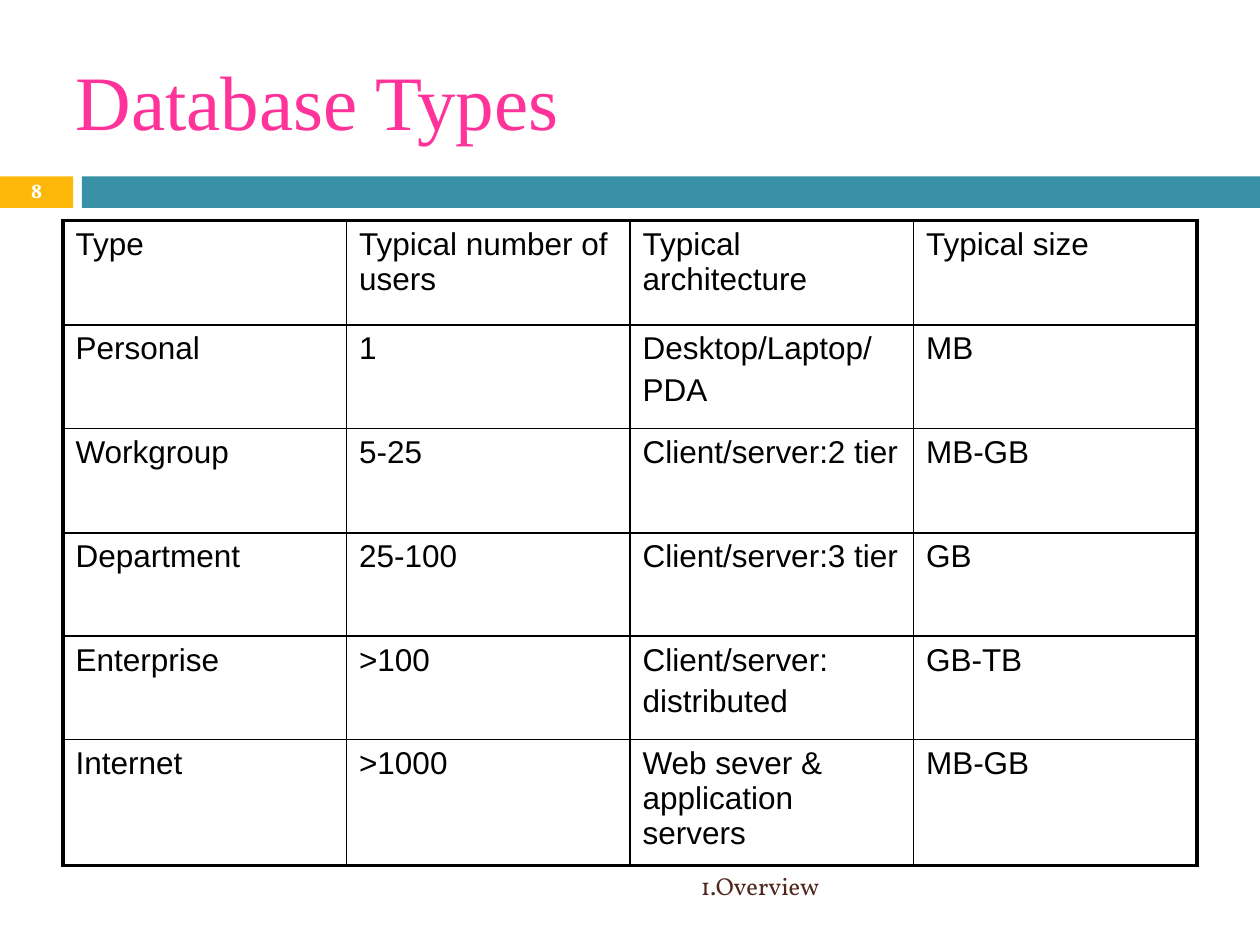
from lxml import etree
from pptx import Presentation
from pptx.dml.color import RGBColor
from pptx.enum.shapes import MSO_SHAPE
from pptx.enum.text import MSO_ANCHOR, PP_ALIGN
from pptx.oxml.ns import qn
from pptx.util import Inches, Pt

RECT = MSO_SHAPE.RECTANGLE
MIDDLE = MSO_ANCHOR.MIDDLE
LEFT, CENTER, RIGHT = PP_ALIGN.LEFT, PP_ALIGN.CENTER, PP_ALIGN.RIGHT

COLORS = {"pink": "FF3399", "gold": "FEB80A", "teal": "3891A7",
          "brown": "4F271C", "white": "FFFFFF", "black": "000000"}

TITLE = "Database Types"
FOOTER = "1.Overview"
NUMBER = "8"
ROWS = [
    ("Type", "Typical number of users", "Typical architecture", "Typical size"),
    ("Personal", "1", "Desktop/Laptop/\nPDA", "MB"),
    ("Workgroup", "5-25", "Client/server:2 tier", "MB-GB"),
    ("Department", "25-100", "Client/server:3 tier", "GB"),
    ("Enterprise", ">100", "Client/server:\ndistributed", "GB-TB"),
    ("Internet", ">1000", "Web sever & application servers", "MB-GB"),
]
BANDS = [("gold", 0, 0.58), ("teal", 0.65, 9.35)]
COL_W = 2.25
HEIGHTS = [0.83, 0.82, 0.83, 0.82, 0.82, 1]
THIN, THICK = 1, 2.25


def rgb(name):
    return RGBColor.from_string(COLORS[name])


def style(para, font, size, color, align=LEFT, bold=False):
    para.alignment = align
    for run in para.runs:
        run.font.name = font
        run.font.size = Pt(size)
        run.font.bold = bold
        run.font.color.rgb = rgb(color)


def add_label(slide, text, box, size, color, align, bold=False):
    frame = slide.shapes.add_textbox(*map(Inches, box)).text_frame
    frame.word_wrap = True
    frame.vertical_anchor = MIDDLE
    frame.text = text
    para = frame.paragraphs[0]
    style(para, "Vollkorn", size, color, align, bold)
    return para


def add_border(cell, side, width):
    """Draw one side (L, R, T or B) of a cell, width in points."""
    props = cell._tc.get_or_add_tcPr()
    line = etree.SubElement(props, qn(f"a:ln{side}"), w=str(Pt(width)))
    fill = etree.SubElement(line, qn("a:solidFill"))
    etree.SubElement(fill, qn("a:srgbClr"), val=COLORS["black"])


def add_grid(slide):
    count = len(ROWS[0])
    frame = slide.shapes.add_table(
        len(ROWS), count, Inches(0.5), Inches(1.75),
        Inches(COL_W * count), Inches(sum(HEIGHTS)))
    table = frame.table
    table.first_row = table.horz_banding = False
    for col in table.columns:
        col.width = Inches(COL_W)
    for i, (row, height) in enumerate(zip(ROWS, HEIGHTS)):
        table.rows[i].height = Inches(height)
        for j, text in enumerate(row):
            cell = table.cell(i, j)
            cell.text = text
            for k, para in enumerate(cell.text_frame.paragraphs):
                style(para, "Arial", 18, "black")
                if k:
                    para.space_before = Pt(3.6)
            outer = {"L": j == 0, "R": j == count - 1,
                     "T": i == 0, "B": i == len(ROWS) - 1}
            for side, edge in outer.items():
                add_border(cell, side, THICK if edge else THIN)
            cell.fill.background()


def main():
    deck = Presentation()
    deck.slide_width, deck.slide_height = Inches(10), Inches(7.5)
    slide = deck.slides.add_slide(deck.slide_layouts[5])

    for color, left, width in BANDS:
        band = slide.shapes.add_shape(
            RECT, Inches(left), Inches(1.4), Inches(width), Inches(0.25))
        band.shadow.inherit = False
        band.fill.solid()
        band.fill.fore_color.rgb = rgb(color)
        band.line.fill.background()

    title = slide.shapes.title
    title.left, title.top = Inches(0.5), Inches(0.25)
    title.width, title.height = Inches(9.08), Inches(1.08)
    title.text_frame.text = TITLE
    title.text_frame.vertical_anchor = MIDDLE
    style(title.text_frame.paragraphs[0], "Times New Roman", 44, "pink")

    add_label(slide, FOOTER, (0.67, 6.83, 5.93, 0.4), 14, "brown", RIGHT)
    number = add_label(slide, NUMBER, (0, 1.39, 0.58, 0.27), 12, "white",
                       CENTER, bold=True)
    number.line_spacing = 0.8
    add_grid(slide)
    deck.save("out.pptx")


if __name__ == "__main__":
    main()
